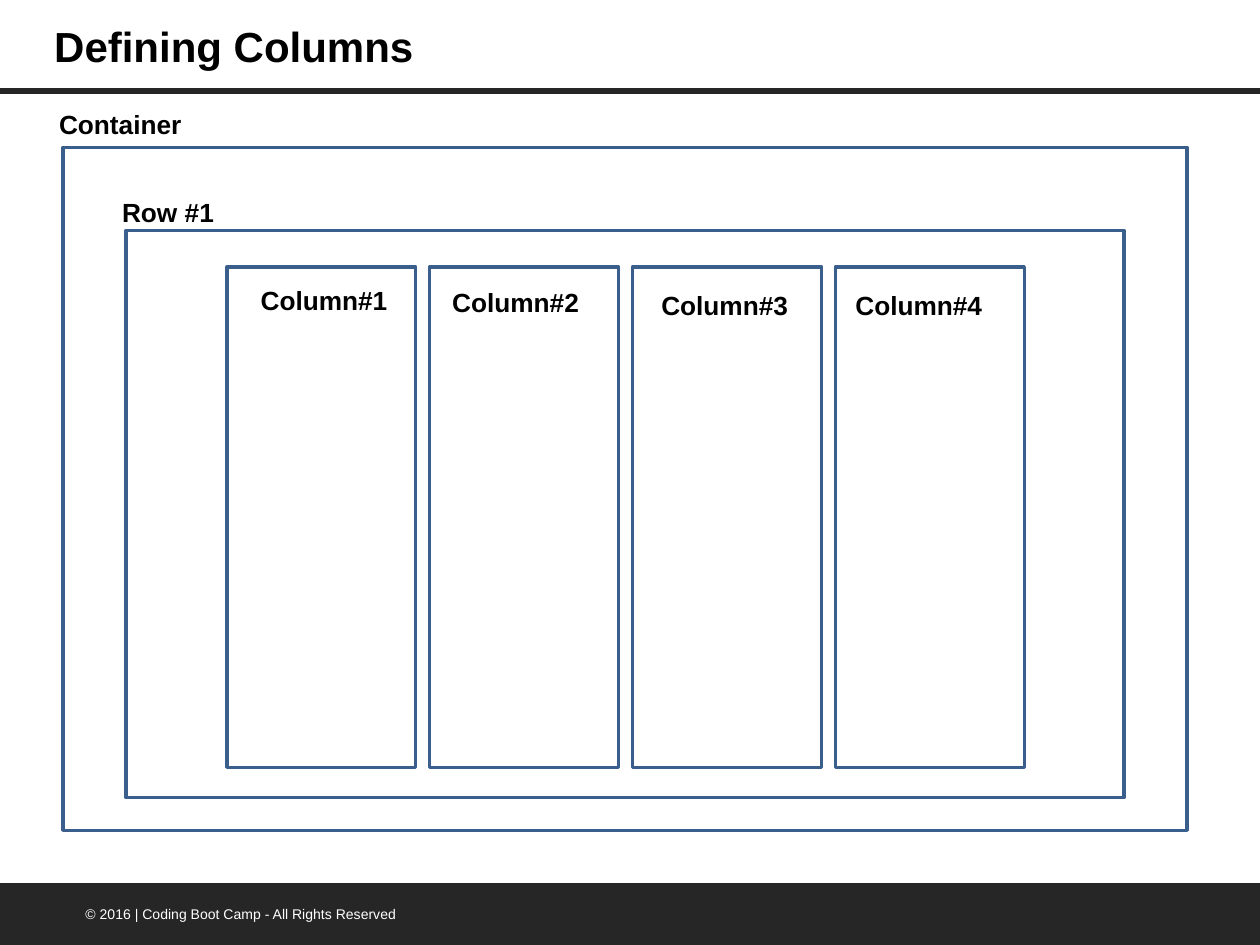
from lxml import etree
from pptx import Presentation
from pptx.dml.color import RGBColor
from pptx.enum.shapes import MSO_CONNECTOR, MSO_SHAPE
from pptx.enum.text import MSO_ANCHOR, MSO_AUTO_SIZE, PP_ALIGN
from pptx.oxml.ns import qn
from pptx.util import Inches, Pt

BLACK = RGBColor(0x00, 0x00, 0x00)
WHITE = RGBColor(0xFF, 0xFF, 0xFF)
DARK = RGBColor(0x26, 0x26, 0x26)
BLUE = RGBColor(0x3A, 0x5F, 0x8C)
RECT = MSO_SHAPE.RECTANGLE
PROCESS = MSO_SHAPE.FLOWCHART_PROCESS
STRAIGHT = MSO_CONNECTOR.STRAIGHT
TOP = MSO_ANCHOR.TOP
LEFT = PP_ALIGN.LEFT
NO_AUTOFIT = MSO_AUTO_SIZE.NONE

COL_LEFT, COL_TOP, COL_WIDTH, COL_HEIGHT = 1.8, 2.12, 1.5, 3.97
COL_STEP = 1.61
COL_LABELS = [
    ("Column#1", 1.97, 2.21),
    ("Column#2", 3.49, 2.22),
    ("Column#3", 5.15, 2.25),
    ("Column#4", 6.69, 2.25),
]


def write(shape, text, size=15, bold=True, color=BLACK, font="Arial"):
    tf = shape.text_frame
    tf.word_wrap = True
    tf.auto_size = NO_AUTOFIT
    tf.vertical_anchor = TOP
    p = tf.paragraphs[0]
    p.alignment = LEFT
    r = p.add_run()
    r.text = text
    r.font.name = font
    r.font.size = Pt(size)
    r.font.bold = bold
    r.font.color.rgb = color


class SlideBuilder:
    def __init__(self, s, line_color=BLUE, line_width=2):
        self.s = s
        self.line_color = line_color
        self.line_width = line_width

    def title(self, text, x, y, w, h):
        sp = self.s.shapes.title
        sp.left, sp.top, sp.width, sp.height = map(Inches, (x, y, w, h))
        write(sp, text, size=24)

    def label(self, text, x, y, w, h, **fmt):
        sp = self.s.shapes.add_textbox(*map(Inches, (x, y, w, h)))
        write(sp, text, **fmt)

    def frame(self, x, y, w, h):
        """Add an unfilled rectangle with the style's outline."""
        sp = self.s.shapes.add_shape(RECT, *map(Inches, (x, y, w, h)))
        sp.shadow.inherit = False
        sp.fill.background()
        sp.line.color.rgb = self.line_color
        sp.line.width = Pt(self.line_width)

    def bar(self, x, y, w, h, color):
        sp = self.s.shapes.add_shape(PROCESS, *map(Inches, (x, y, w, h)))
        sp.shadow.inherit = False
        sp.fill.solid()
        sp.fill.fore_color.rgb = color
        sp.line.fill.background()

    def rule(self, x1, y1, x2, y2, color, width):
        line = self.s.shapes.add_connector(STRAIGHT, *map(Inches, (x1, y1, x2, y2)))
        line.line.color.rgb = color
        line.line.width = Pt(width)
        etree.SubElement(line._element.spPr, qn("a:effectLst"))


def main():
    prs = Presentation()
    prs.slide_width, prs.slide_height = Inches(10), Inches(7.5)
    b = SlideBuilder(prs.slides.add_slide(prs.slide_layouts[5]))

    b.rule(0, 0.72, 10, 0.72, DARK, 3.25)
    b.bar(-0.01, 7.01, 10.01, 0.5, DARK)
    b.label("© 2016 | Coding Boot Camp - All Rights Reserved",
            0.58, 7.14, 3.05, 0.24, size=8, bold=False, color=WHITE)
    b.title("Defining Columns", 0.33, 0.11, 5.58, 0.5)

    b.frame(0.5, 1.17, 8.92, 5.42)
    b.frame(1, 1.83, 7.92, 4.5)
    b.label("Container", 0.37, 0.81, 5.58, 0.35)
    b.label("Row #1", 0.87, 1.51, 5.58, 0.35)

    for i, (text, x, y) in enumerate(COL_LABELS):
        b.frame(COL_LEFT + i * COL_STEP, COL_TOP, COL_WIDTH, COL_HEIGHT)
        b.label(text, x, y, 1.24, 0.35)

    prs.save("out.pptx")


if __name__ == "__main__":
    main()
